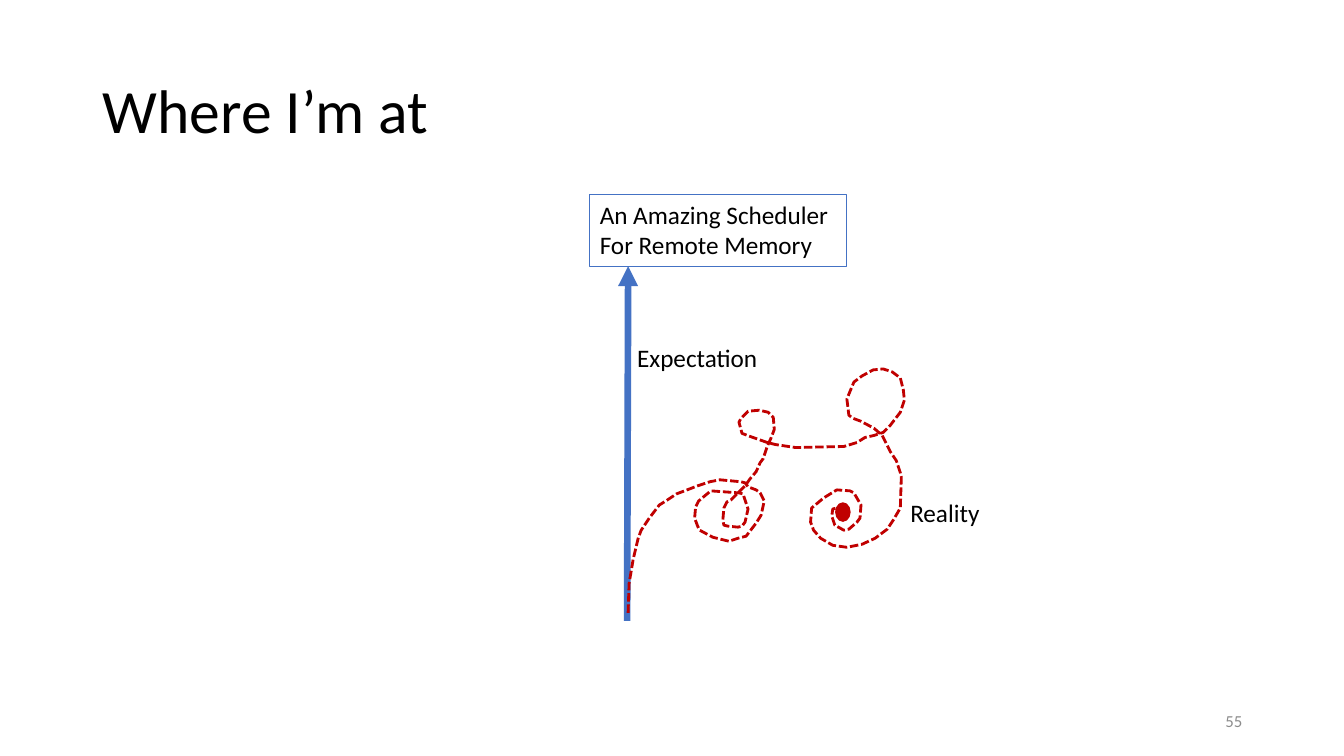
from dataclasses import dataclass

from lxml import etree
from pptx import Presentation
from pptx.dml.color import RGBColor
from pptx.enum import dml, shapes, text
from pptx.oxml import ns
from pptx.util import Inches, Pt


@dataclass(frozen=True)
class Theme:
    font: str = "Calibri"
    ink: RGBColor = RGBColor(0x00, 0x00, 0x00)
    muted: RGBColor = RGBColor(0x8C, 0x8C, 0x8C)
    expectation: RGBColor = RGBColor(0x44, 0x72, 0xC4)
    reality: RGBColor = RGBColor(0xC0, 0x00, 0x00)
    title_size: int = 44
    label_size: int = 18
    number_size: int = 12


THEME = Theme()

# Content: lengths in inches, boxes as (left, top, width, height)
TITLE = ("Where I’m at", (0.92, 0.4, 11.5, 1.45))
PAGE_NUMBER = ("55", (9.42, 6.95, 3, 0.4))
GOAL = (("An Amazing Scheduler", "For Remote Memory"), (5.85, 1.93, 2.55, 0.71))
LABELS = [
    ("Expectation", (6.22, 3.35, 1.41, 0.4)),
    ("Reality", (8.93, 4.88, 0.9, 0.4)),
]
EXPECTATION_ARROW = ((6.22, 6.16), (6.23, 2.64))
REALITY_DOT = (8.29, 4.99, 0.14, 0.18)
REALITY_PATH = [
    # rise from the start
    (6.23, 6.08), (6.24, 5.79), (6.28, 5.55), (6.33, 5.34), (6.36, 5.26),
    (6.44, 5.14), (6.54, 5.01), (6.62, 4.96), (6.71, 4.9), (6.79, 4.87),
    (6.92, 4.82), (7.04, 4.78), (7.14, 4.76), (7.35, 4.78), (7.39, 4.79),
    # double loop
    (7.42, 4.83), (7.5, 4.86), (7.54, 4.89), (7.58, 4.97), (7.55, 5.11),
    (7.5, 5.19), (7.4, 5.32), (7.32, 5.34), (7.23, 5.37), (7.07, 5.33),
    (6.94, 5.26), (6.92, 5.22), (6.89, 5.14), (6.9, 5.03), (6.93, 4.97),
    (7.05, 4.87), (7.33, 4.89), (7.37, 4.9), (7.42, 5.05), (7.39, 5.18),
    (7.36, 5.22), (7.32, 5.23), (7.22, 5.22), (7.18, 5.21), (7.17, 5.16),
    (7.18, 5.04), (7.21, 4.98), (7.25, 4.96), (7.32, 4.89), (7.39, 4.82),
    # small loop
    (7.44, 4.75), (7.5, 4.68), (7.54, 4.59), (7.57, 4.55), (7.61, 4.43),
    (7.65, 4.34), (7.68, 4.26), (7.67, 4.14), (7.62, 4.09), (7.53, 4.07),
    (7.42, 4.08), (7.35, 4.15), (7.33, 4.19), (7.36, 4.3), (7.44, 4.33),
    (7.61, 4.39), (7.69, 4.41), (7.89, 4.44), (8.37, 4.43), (8.5, 4.39),
    # large loop
    (8.58, 4.34), (8.67, 4.32), (8.76, 4.29), (8.83, 4.22), (8.93, 4.09),
    (8.97, 3.97), (8.96, 3.87), (8.93, 3.75), (8.85, 3.69), (8.76, 3.66),
    (8.66, 3.67), (8.55, 3.73), (8.47, 3.79), (8.42, 3.91), (8.4, 3.96),
    (8.42, 4.12), (8.46, 4.15), (8.54, 4.18), (8.67, 4.25), (8.75, 4.32),
    (8.83, 4.48), (8.89, 4.57), (8.93, 4.69), (8.94, 4.73), (8.93, 5.04),
    # closing spiral
    (8.86, 5.16), (8.8, 5.25), (8.68, 5.34), (8.55, 5.4), (8.4, 5.43),
    (8.26, 5.41), (8.14, 5.34), (8.07, 5.26), (8.04, 5.18), (8.05, 5.04),
    (8.17, 4.94), (8.3, 4.86), (8.43, 4.87), (8.47, 4.89), (8.54, 5.01),
    (8.53, 5.14), (8.5, 5.18), (8.42, 5.25), (8.37, 5.26), (8.28, 5.21),
    (8.25, 5.12), (8.26, 5.05), (8.3, 5.04), (8.36, 5.08),
]


def inches(values):
    return [Inches(value) for value in values]


def add_text(slide, lines, box, size, color=THEME.ink, wrap=False,
             anchor=text.MSO_ANCHOR.TOP, align=text.PP_ALIGN.LEFT, spacing=1.0):
    shape = slide.shapes.add_textbox(*inches(box))
    frame = shape.text_frame
    frame.word_wrap = wrap
    frame.vertical_anchor = anchor
    for index, line in enumerate(lines):
        paragraph = frame.add_paragraph() if index else frame.paragraphs[0]
        paragraph.alignment = align
        paragraph.line_spacing = spacing
        run = paragraph.add_run()
        run.text = line
        run.font.name = THEME.font
        run.font.size = Pt(size)
        run.font.color.rgb = color
    return shape


def set_line(shape, color, width):
    shape.line.color.rgb = color
    shape.line.width = Pt(width)


def add_expectation_arrow(slide):
    start, end = EXPECTATION_ARROW
    arrow = slide.shapes.add_connector(
        shapes.MSO_CONNECTOR.STRAIGHT, *inches(start + end))
    set_line(arrow, THEME.expectation, 4.75)
    etree.SubElement(arrow.line._get_or_add_ln(), ns.qn("a:tailEnd"), type="triangle")
    etree.SubElement(arrow._element.spPr, ns.qn("a:effectLst"))


def add_reality_path(slide):
    start, *rest = [inches(point) for point in REALITY_PATH]
    builder = slide.shapes.build_freeform(*start)
    builder.add_line_segments(rest, close=False)
    path = builder.convert_to_shape()
    path.shadow.inherit = False
    path.fill.background()
    set_line(path, THEME.reality, 2)
    path.line.dash_style = dml.MSO_LINE.SQUARE_DOT


def add_reality_dot(slide):
    dot = slide.shapes.add_shape(shapes.MSO_SHAPE.OVAL, *inches(REALITY_DOT))
    dot.shadow.inherit = False
    dot.fill.solid()
    dot.fill.fore_color.rgb = THEME.reality
    set_line(dot, THEME.reality, 1)


def main():
    presentation = Presentation()
    presentation.slide_width = Inches(13.33)
    presentation.slide_height = Inches(7.5)
    slide = presentation.slides.add_slide(presentation.slide_layouts[6])

    title, title_box = TITLE
    add_text(slide, [title], title_box, THEME.title_size, wrap=True,
             anchor=text.MSO_ANCHOR.MIDDLE, spacing=0.9)
    number, number_box = PAGE_NUMBER
    add_text(slide, [number], number_box, THEME.number_size, THEME.muted, wrap=True,
             anchor=text.MSO_ANCHOR.MIDDLE, align=text.PP_ALIGN.RIGHT)

    add_expectation_arrow(slide)
    goal_lines, goal_box = GOAL
    goal = add_text(slide, goal_lines, goal_box, THEME.label_size)
    set_line(goal, THEME.expectation, 0.75)

    add_reality_path(slide)
    add_reality_dot(slide)
    for label, box in LABELS:
        add_text(slide, [label], box, THEME.label_size)

    presentation.save("out.pptx")


if __name__ == "__main__":
    main()
